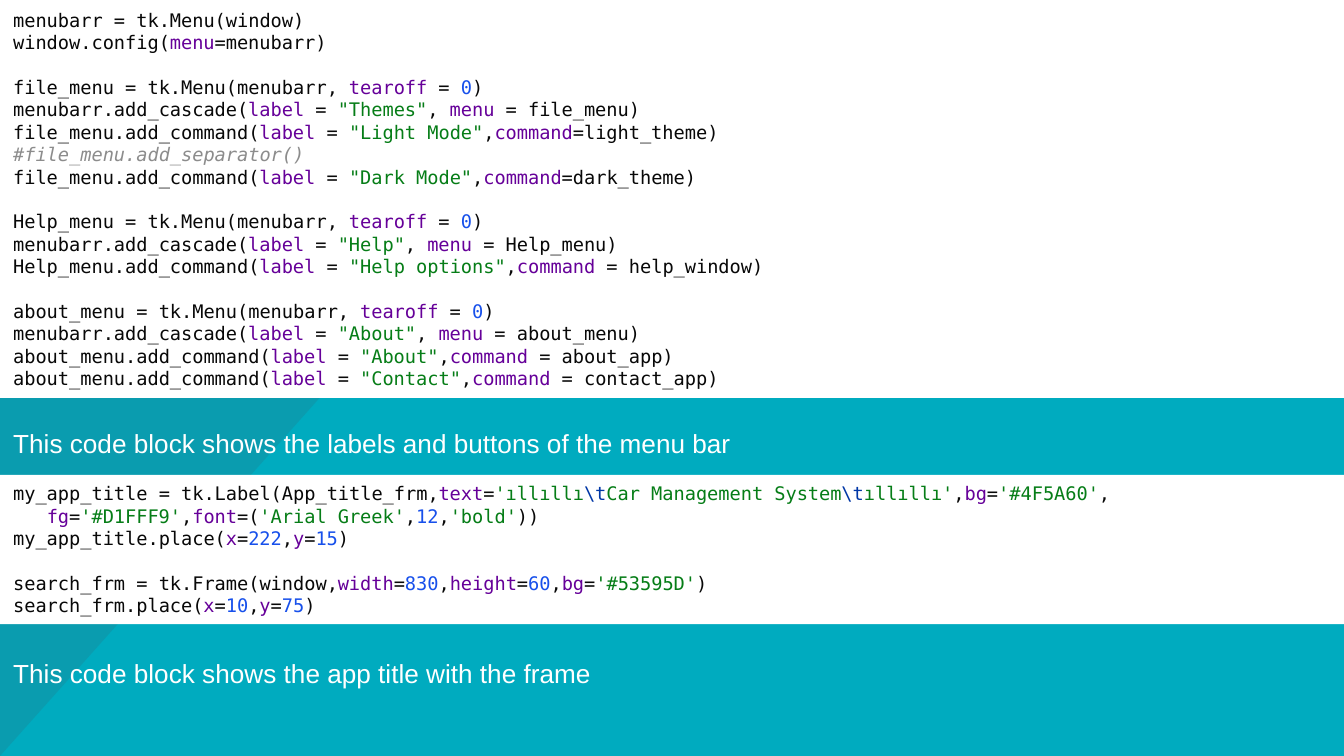
import itertools
import pptx
import pptx.util
import pptx.dml.color
import pptx.enum.shapes
import pptx.enum.text
import lxml.etree

Pt = pptx.util.Pt
SHAPE = pptx.enum.shapes.MSO_SHAPE
ANCHOR = pptx.enum.text.MSO_ANCHOR
ALIGN = pptx.enum.text.PP_ALIGN

WIDE, HIGH = 720, 405
LINE = 12
COLORS = {
    "teal": "00ABBF", "slate": "336574", "white": "FFFFFF",
    "plain": "080808", "key": "660099", "number": "1750EB",
    "string": "067D17", "escape": "0037A6", "comment": "8C8C8C",
}
KEYS = {"menu", "tearoff", "label", "command", "text", "bg", "fg",
        "font", "x", "y", "width", "height"}

MENU = r'''menubarr = tk.Menu(window)
window.config(menu=menubarr)

file_menu = tk.Menu(menubarr, tearoff = 0)
menubarr.add_cascade(label = "Themes", menu = file_menu)
file_menu.add_command(label = "Light Mode",command=light_theme)
#file_menu.add_separator()
file_menu.add_command(label = "Dark Mode",command=dark_theme)

Help_menu = tk.Menu(menubarr, tearoff = 0)
menubarr.add_cascade(label = "Help", menu = Help_menu)
Help_menu.add_command(label = "Help options",command = help_window)

about_menu = tk.Menu(menubarr, tearoff = 0)
menubarr.add_cascade(label = "About", menu = about_menu)
about_menu.add_command(label = "About",command = about_app)
about_menu.add_command(label = "Contact",command = contact_app)'''

TITLE = r'''my_app_title = tk.Label(App_title_frm,text='ıllıllı\tCar Management System\tıllıllı',bg='#4F5A60',
   fg='#D1FFF9',font=('Arial Greek',12,'bold'))
my_app_title.place(x=222,y=15)

search_frm = tk.Frame(window,width=830,height=60,bg='#53595D')
search_frm.place(x=10,y=75)'''


def color(name):
    return pptx.dml.color.RGBColor.from_string(COLORS[name])


def tokens(line):
    """Yield (kind, text) for each piece of a code line."""
    if line.startswith("#"):
        yield "comment", line
        return
    quote = '"' if '"' in line else "'"
    for i, part in enumerate(line.split(quote)):
        if i % 2:
            for j, piece in enumerate((quote + part + quote).split(r"\t")):
                if j:
                    yield "escape", r"\t"
                yield "string", piece
            continue
        for _, chars in itertools.groupby(part, lambda c: c.isalnum() or c == "_"):
            word = "".join(chars)
            kind = "key" if word in KEYS else "number" if word.isdigit() else "plain"
            yield kind, word


def panel(slide, box, kind, fill, alpha=None):
    """Add a filled shape, with alpha as opacity in percent."""
    shape = slide.shapes.add_shape(kind, *map(Pt, box))
    shape.shadow.inherit = False
    shape.line.fill.background()
    shape.fill.solid()
    shape.fill.fore_color.rgb = color(fill)
    if alpha is not None:
        ns = "{http://schemas.openxmlformats.org/drawingml/2006/main}"
        tint = shape.fill._xPr.find(f"{ns}solidFill/{ns}srgbClr")
        lxml.etree.SubElement(tint, ns + "alpha").set("val", str(alpha * 1000))
    return shape


def backdrop(slide, box):
    left, top, width, height = box
    slide.background.fill.solid()
    slide.background.fill.fore_color.rgb = color("teal")
    # Corner triangle, turned so that its right angle is at the top left
    base = 361.5
    shift = (height - base) / 2
    corner = panel(slide, (left - shift, top + shift, height, base),
                   SHAPE.RIGHT_TRIANGLE, "slate", 32)
    corner.rotation = 90
    # Tint over the triangle
    panel(slide, box, SHAPE.RECTANGLE, "teal", 36)


def code(slide, box, source):
    frame = panel(slide, box, SHAPE.RECTANGLE, "white").text_frame
    frame.word_wrap = True
    frame.vertical_anchor = ANCHOR.MIDDLE
    para = frame.paragraphs[0]
    for i, block in enumerate(source.split("\n\n")):
        for j, line in enumerate(block.split("\n")):
            if i or j:
                para = frame.add_paragraph()
            para.alignment = ALIGN.LEFT
            para.line_spacing = Pt(LINE)
            if i and not j:
                para.space_before = Pt(LINE)
            # Neighbours of one kind share a run
            for kind, group in itertools.groupby(tokens(line), lambda t: t[0]):
                run = para.add_run()
                run.text = "".join(text for _, text in group)
                run.font.name = "DejaVu Sans Mono"
                run.font.size = Pt(10)
                run.font.italic = kind == "comment"
                run.font.color.rgb = color(kind)


def caption(slide, box, text):
    frame = slide.shapes.add_textbox(*map(Pt, box)).text_frame
    frame.word_wrap = True
    frame.margin_left = frame.margin_right = Pt(7.2)
    frame.margin_top = frame.margin_bottom = Pt(7.2)
    frame.text = text
    font = frame.paragraphs[0].runs[0].font
    font.name = "Arial"
    font.size = Pt(14)
    font.color.rgb = color("white")


def main():
    deck = pptx.Presentation()
    deck.slide_width, deck.slide_height = Pt(WIDE), Pt(HIGH)
    slide = deck.slides.add_slide(deck.slide_layouts[6])
    backdrop(slide, (0, 0, WIDE, HIGH))
    # Menu bar code and its caption
    code(slide, (0, 0, WIDE, 213.2), MENU)
    caption(slide, (0, 222, WIDE, 32.4),
            "This code block shows the labels and buttons of the menu bar")
    # App title code and its caption
    code(slide, (0, 254.4, WIDE, 80), TITLE)
    caption(slide, (0, 345, WIDE, 32.4),
            "This code block shows the app title with the frame")
    deck.save("out.pptx")


if __name__ == "__main__":
    main()
